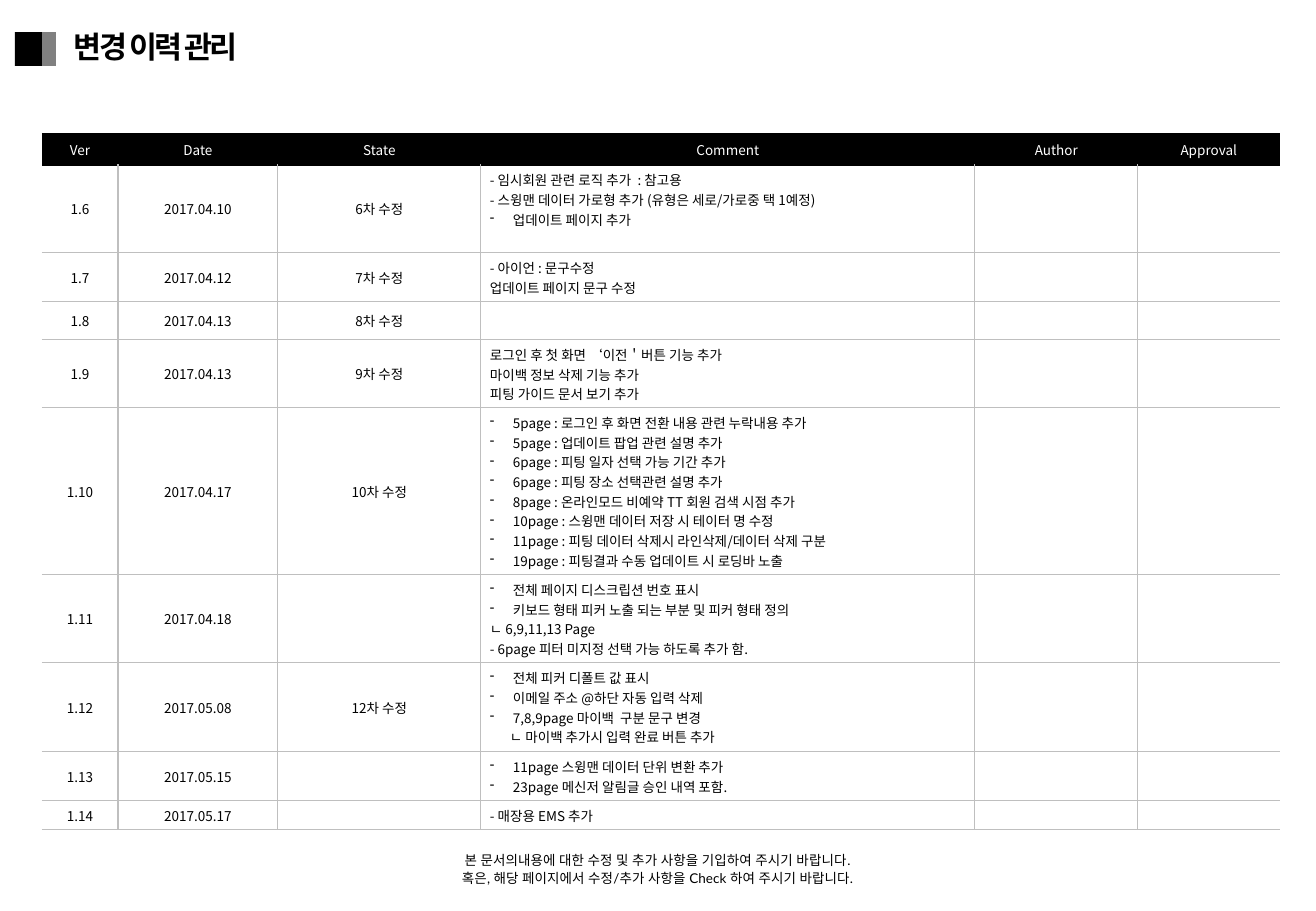
from lxml import etree
from pptx import Presentation
from pptx.dml.color import RGBColor
from pptx.enum.shapes import MSO_SHAPE
from pptx.enum.text import MSO_ANCHOR, PP_ALIGN
from pptx.oxml.ns import qn
from pptx.util import Emu, Pt

BLACK = RGBColor(0x00, 0x00, 0x00)
WHITE = RGBColor(0xFF, 0xFF, 0xFF)
GRAY = RGBColor(0x80, 0x80, 0x80)
RULE = RGBColor(0xBF, 0xBF, 0xBF)
RECT = MSO_SHAPE.RECTANGLE
LEFT, CENTER = PP_ALIGN.LEFT, PP_ALIGN.CENTER
TOP, MIDDLE = MSO_ANCHOR.TOP, MSO_ANCHOR.MIDDLE
SANS, LATO = "Noto Sans CJK KR", "Lato"
SCALE = 914400 / 121.5

TITLE = "변경 이력 관리"
NOTES = [
    "본 문서의내용에 대한 수정 및 추가 사항을 기입하여 주시기 바랍니다.",
    "혹은, 해당 페이지에서 수정/추가 사항을 Check 하여 주시기 바랍니다.",
]
HEADS = ["Ver", "Date", "State", "Comment", "Author", "Approval"]
WIDTHS = [76, 160, 203, 494, 163, 142]
HEIGHTS = [31, 88, 49, 38, 68, 167, 88, 89, 49, 29]
BULLET, NEST = "•", "→"
ROWS = [
    ("1.6", "2017.04.10", "6차 수정", [
        "- 임시회원 관련 로직 추가  : 참고용",
        "- 스윙맨 데이터 가로형 추가 (유형은 세로/가로중 택 1예정)",
        "•업데이트 페이지 추가"]),
    ("1.7", "2017.04.12", "7차 수정", [
        "- 아이언 : 문구수정",
        "업데이트 페이지 문구 수정"]),
    ("1.8", "2017.04.13", "8차 수정", [""]),
    ("1.9", "2017.04.13", "9차 수정", [
        "로그인 후 첫 화면 ‘이전＇버튼 기능 추가",
        "마이백 정보 삭제 기능 추가",
        "피팅 가이드 문서 보기 추가"]),
    ("1.10", "2017.04.17", "10차 수정", [
        "•5page : 로그인 후 화면 전환 내용 관련 누락내용 추가",
        "•5page : 업데이트 팝업 관련 설명 추가",
        "•6page : 피팅 일자 선택 가능 기간 추가",
        "•6page : 피팅 장소 선택관련 설명 추가",
        "•8page : 온라인모드 비예약 TT 회원 검색 시점 추가",
        "•10page : 스윙맨 데이터 저장 시 테이터 명 수정",
        "•11page : 피팅 데이터 삭제시 라인삭제/데이터 삭제 구분",
        "•19page : 피팅결과 수동 업데이트 시 로딩바 노출"]),
    ("1.11", "2017.04.18", "", [
        "•전체 페이지 디스크립션 번호 표시",
        "•키보드 형태 피커 노출 되는 부분 및 피커 형태 정의",
        "ㄴ 6,9,11,13 Page",
        "- 6page 피터 미지정 선택 가능 하도록 추가 함."]),
    ("1.12", "2017.05.08", "12차 수정", [
        "•전체 피커 디폴트 값 표시",
        "•이메일 주소 @하단 자동 입력 삭제",
        "•7,8,9page 마이백  구분 문구 변경",
        "→ㄴ 마이백 추가시 입력 완료 버튼 추가"]),
    ("1.13", "2017.05.15", "", [
        "•11page 스윙맨 데이터 단위 변환 추가",
        "•23page 메신저 알림글 승인 내역 포함."]),
    ("1.14", "2017.05.17", "", ["- 매장용 EMS 추가"]),
]


def px(n):
    """Turn px into EMU."""
    return Emu(round(n * SCALE))


def style(para, face, size, color, bold=False, track=0):
    """Set the font of a whole paragraph, East Asian face included."""
    font = para.font
    font.name, font.size, font.bold = face, Pt(size), bold
    font.color.rgb = color
    props = para._p.pPr.find(qn("a:defRPr"))
    props.set("spc", str(track))
    latin = props.find(qn("a:latin"))
    latin.addnext(etree.Element(qn("a:ea"), typeface=face))


def indent(para, left, mark=None):
    """Indent a paragraph, hanging a bullet mark if given."""
    props = para._p.get_or_add_pPr()
    props.set("marL", str(px(left)))
    if mark:
        props.set("indent", str(-px(left)))
        etree.SubElement(props, qn("a:buChar"), char=mark)


def write(frame, lines, face, size, color, align, space=None, **kind):
    """Fill a text frame with one paragraph per line."""
    frame.word_wrap = True
    for i, line in enumerate(lines):
        para = frame.paragraphs[0] if i == 0 else frame.add_paragraph()
        if line.startswith(BULLET):
            indent(para, 23, "-")
        elif line.startswith(NEST):
            indent(para, 20)
        para.text = line.lstrip(BULLET + NEST)
        para.alignment = align
        para.line_spacing = space
        style(para, face, size, color, **kind)
        if not line:
            etree.SubElement(para._p, qn("a:endParaRPr"), sz=str(size * 100))


def label(slide, box, lines, *look, **kind):
    """Add a text box anchored in the middle."""
    frame = slide.shapes.add_textbox(*map(px, box)).text_frame
    frame.vertical_anchor = MIDDLE
    write(frame, lines, *look, **kind)


def header(slide, x, y, w, h):
    """Place the two-tone marker and the title."""
    for left, color in ((x + 14, GRAY), (x, BLACK)):
        block = slide.shapes.add_shape(RECT, px(left), px(y + 11), px(27), px(34))
        block.shadow.inherit = False
        block.fill.solid()
        block.fill.fore_color.rgb = color
        block.line.fill.background()
    label(slide, (x + 47, y, w - 47, h), [TITLE], SANS, 18, BLACK, LEFT,
          space=0.9, bold=True, track=-150)


def edge(cell, side, color, width):
    """Draw one cell border, or none without a colour."""
    line = etree.SubElement(cell._tc.get_or_add_tcPr(), qn("a:ln" + side),
                            w=str(Pt(width)))
    if color is None:
        etree.SubElement(line, qn("a:noFill"))
    else:
        fill = etree.SubElement(line, qn("a:solidFill"))
        etree.SubElement(fill, qn("a:srgbClr"), val=str(color))


def dress(cell, row, col):
    """Set the margins, borders and fill of a cell."""
    cell.margin_left = cell.margin_right = px(9)
    cell.margin_top = cell.margin_bottom = px(5)
    cell.vertical_anchor = TOP if (row, col) == (1, 3) else MIDDLE
    head = row == 0
    side = BLACK if head else RULE
    width = 1 if head else 0.75
    edge(cell, "L", side if col else None, width)
    edge(cell, "R", side if col < len(WIDTHS) - 1 else None, width)
    edge(cell, "T", BLACK if row < 2 else RULE, 1 if row < 2 else 0.75)
    edge(cell, "B", side, width)
    if head:
        cell.fill.solid()
        cell.fill.fore_color.rgb = BLACK
    else:
        cell.fill.background()


def history(slide, x, y):
    """Place the table of revisions."""
    size = sum(WIDTHS), sum(HEIGHTS)
    table = slide.shapes.add_table(len(HEIGHTS), len(WIDTHS),
                                   *map(px, (x, y, *size))).table
    table.first_row = table.horz_banding = False
    for col, w in zip(table.columns, WIDTHS):
        col.width = px(w)
    for row, h in zip(table.rows, HEIGHTS):
        row.height = px(h)
    for r, data in enumerate([HEADS] + [(*row, "", "") for row in ROWS]):
        for c, text in enumerate(data):
            cell = table.cell(r, c)
            dress(cell, r, c)
            lines = [text] if isinstance(text, str) else text
            write(cell.text_frame, lines, SANS, 8, BLACK if r else WHITE,
                  LEFT if r and c == 3 else CENTER)


def footer(slide, *box):
    """Place the closing note."""
    label(slide, box, NOTES, LATO, 8, BLACK, CENTER, space=1.1)


def main():
    """Build and save the slide."""
    deck = Presentation()
    deck.slide_width, deck.slide_height = px(1316), px(911)
    slide = deck.slides.add_slide(deck.slide_layouts[6])
    header(slide, 15, 21, 932, 55)
    history(slide, 42, 134)
    footer(slide, 107, 843, 1101, 51)
    deck.save("out.pptx")


if __name__ == "__main__":
    main()
